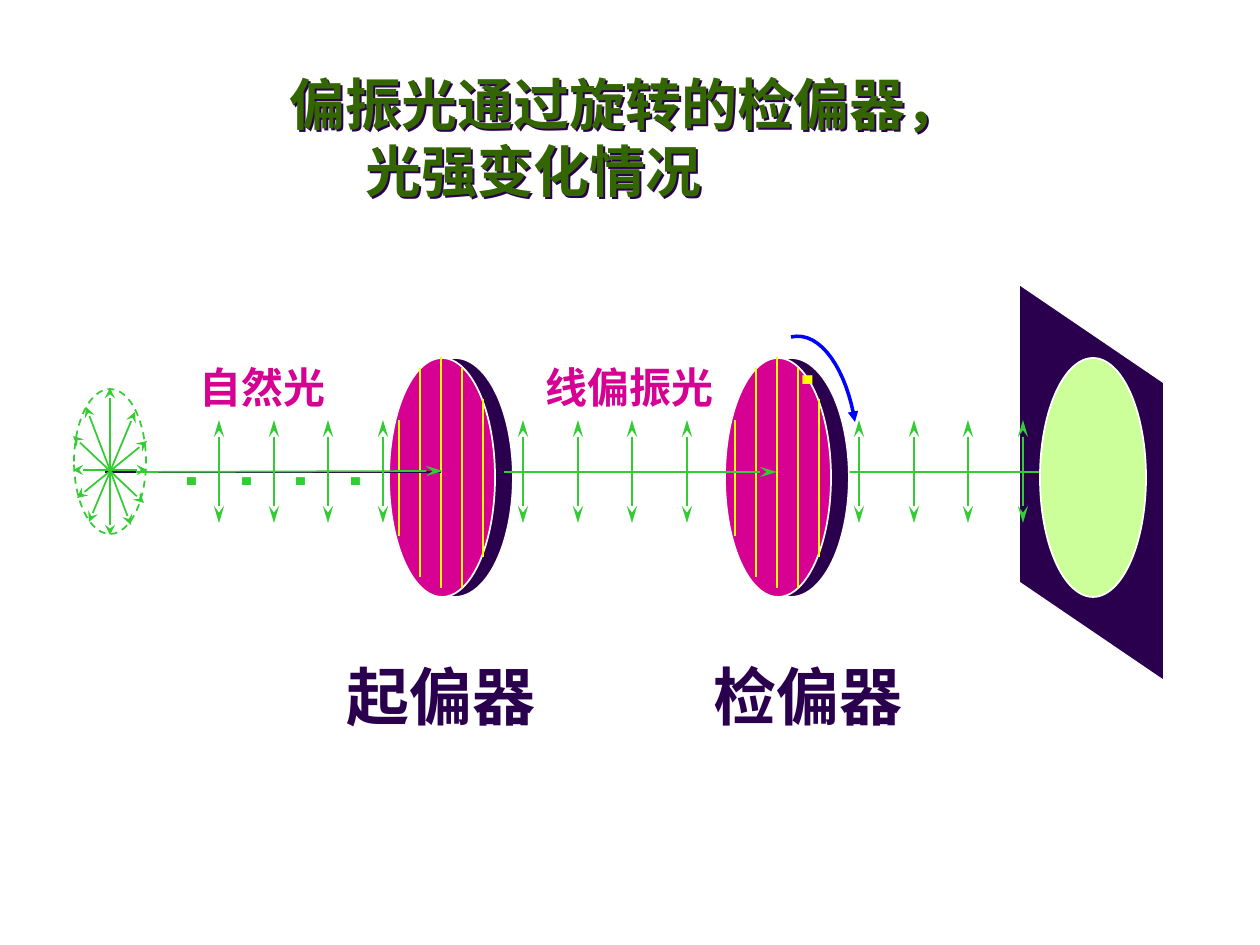
from dataclasses import dataclass

from lxml import etree
from pptx import Presentation
from pptx.dml.color import RGBColor
from pptx.enum.dml import MSO_LINE
from pptx.enum.shapes import MSO_CONNECTOR, MSO_SHAPE
from pptx.enum.text import MSO_ANCHOR, MSO_AUTO_SIZE, PP_ALIGN
from pptx.oxml.ns import qn
from pptx.util import Pt

STRAIGHT = MSO_CONNECTOR.STRAIGHT
OVAL, PARALLELOGRAM = MSO_SHAPE.OVAL, MSO_SHAPE.PARALLELOGRAM
DASH, TOP, LEFT = MSO_LINE.DASH, MSO_ANCHOR.TOP, PP_ALIGN.LEFT
FIT_SHAPE, NO_FIT = MSO_AUTO_SIZE.SHAPE_TO_FIT_TEXT, MSO_AUTO_SIZE.NONE
TITLE_ONLY = 5
PX_PER_INCH = 126
SCALE = 914400 / PX_PER_INCH
AXIS_Y = 472
DISC_STEP = 336
BOTH_ENDS = ("headEnd", "tailEnd")


@dataclass(frozen=True)
class Theme:
    dark: str = "2A004E"
    magenta: str = "D60093"
    light: str = "33CC33"
    groove: str = "FFFF00"
    spot: str = "CCFF99"
    title: str = "336600"
    turn: str = "0000FF"
    edge: str = "FFFFFF"
    latin: str = "Roboto Slab"
    cjk: str = "Noto Sans CJK SC"
    title_size: int = 32
    name_size: int = 36
    beam_size: int = 24
    dot_size: int = 36
    mark_size: int = 40


THEME = Theme()


def px(n):
    return round(n * SCALE)


def rgb(color):
    return RGBColor.from_string(color)


def add_arrowheads(sp, ends, kind="stealth", length="lg"):
    ln = sp.line._get_or_add_ln()
    for end in ends:
        etree.SubElement(ln, qn(f"a:{end}"), type=kind, len=length)


def add_line(shapes, x1, y1, x2, y2, color=THEME.light, width=1, ends=(),
             length="lg"):
    sp = shapes.add_connector(STRAIGHT, px(x1), px(y1), px(x2), px(y2))
    sp.line.color.rgb = rgb(color)
    sp.line.width = Pt(width)
    etree.SubElement(sp._element.spPr, qn("a:effectLst"))
    add_arrowheads(sp, ends, length=length)


def add_figure(shapes, kind, x, y, w, h, fill=None, line=THEME.edge):
    sp = shapes.add_shape(kind, px(x), px(y), px(w), px(h))
    sp.shadow.inherit = False
    if fill:
        sp.fill.solid()
        sp.fill.fore_color.rgb = rgb(fill)
    else:
        sp.fill.background()
    sp.line.color.rgb = rgb(line)
    sp.line.width = Pt(1)
    return sp


def format_run(r, size, color, font):
    r.font.size = Pt(size)
    r.font.bold = True
    r.font.name = font
    r.font.color.rgb = rgb(color)
    etree.SubElement(r._r.get_or_add_rPr(), qn("a:ea"), typeface=THEME.cjk)


def add_label(shapes, text, x, y, w, h, size, color, font=THEME.cjk):
    tf = shapes.add_textbox(px(x), px(y), px(w), px(h)).text_frame
    tf.text = text
    tf.word_wrap = False
    tf.auto_size = FIT_SHAPE
    format_run(tf.paragraphs[0].runs[0], size, color, font)


def add_text_shadow(sp):
    sp.fill.background()
    effects = etree.SubElement(sp._element.spPr, qn("a:effectLst"))
    shadow = etree.SubElement(effects, qn("a:outerShdw"),
                              dist="20500", dir="2700000")
    etree.SubElement(shadow, qn("a:srgbClr"), val=THEME.dark)


def set_title(sp):
    sp.left, sp.top, sp.width, sp.height = map(px, (277, 63, 698, 147))
    tf = sp.text_frame
    tf.text = "偏振光通过旋转的检偏器，\n光强变化情况"
    tf.word_wrap = False
    tf.auto_size = NO_FIT
    tf.vertical_anchor = TOP
    for p, indent in zip(tf.paragraphs, (0, 76)):
        p.alignment = LEFT
        p._p.get_or_add_pPr().set("marL", str(px(indent)))
        format_run(p.runs[0], THEME.title_size, THEME.title, THEME.latin)
    add_text_shadow(sp)


def add_polarizer(shapes, x):
    add_figure(shapes, OVAL, x + 8, 358, 116, 239, THEME.dark)
    add_figure(shapes, OVAL, x, 358, 106, 239, THEME.magenta)
    spans = ((420, 536), (368, 577), (357, 588), (368, 588), (399, 557))
    for i, (top, bottom) in enumerate(spans):
        groove_x = x + 10 + 21 * i
        add_line(shapes, groove_x, top, groove_x, bottom, THEME.groove, 1.5)


def add_vibrations(shapes, left, dots=False):
    for i in range(4):
        x = round(left + 54.67 * i)
        add_line(shapes, x, 420, x, 523, ends=BOTH_ENDS)
        if dots:
            add_label(shapes, ".", x - 48, 416, 47, 88,
                      THEME.dot_size, THEME.light, THEME.latin)


def add_light_source(shapes):
    group = shapes.add_group_shape().shapes
    rim = add_figure(group, OVAL, 74, 389, 72, 145, line=THEME.light)
    rim.line.dash_style = DASH
    for ray in ((110, 388, 110, 535), (135, 412, 89, 522),
                (73, 436, 144, 503), (73, 470, 147, 470),
                (86, 407, 131, 525), (77, 498, 147, 441)):
        add_line(group, *ray, ends=BOTH_ENDS, length="med")


def cubic_points(a, b, c, d, steps=16):
    for i in range(1, steps + 1):
        t = i / steps
        u = 1 - t
        yield tuple(px(u**3 * m + 3 * u * u * t * n + 3 * u * t * t * o
                       + t**3 * q) for m, n, o, q in zip(a, b, c, d))


def add_turn_arrow(shapes):
    start, peak, end = (791, 338), (841, 355), (868, 451)
    start, peak, end = (791, 337), (841, 355), (855, 422)
    curve = cubic_points(start, (821, 330), (847, 371), end)
    builder = shapes.build_freeform(*map(px, start))
    builder.add_line_segments(curve, close=False)
    sp = builder.convert_to_shape()
    sp.shadow.inherit = False
    sp.fill.background()
    sp.line.color.rgb = rgb(THEME.turn)
    sp.line.width = Pt(2)
    add_arrowheads(sp, ("tailEnd",), kind="triangle", length="med")


def main():
    prs = Presentation()
    prs.slide_width, prs.slide_height = px(1260), px(945)
    s = prs.slides.add_slide(prs.slide_layouts[TITLE_ONLY])
    shapes = s.shapes
    set_title(shapes.title)

    # Screen and the beam that reaches it
    screen = add_figure(shapes, PARALLELOGRAM, 893, 410, 397, 145, THEME.dark)
    screen.adjustments[0] = 0.68
    screen.rotation = 90
    add_line(shapes, 840, AXIS_Y, 1092, AXIS_Y, ends=("tailEnd",))

    # Polarizer and analyzer
    for x in (389, 389 + DISC_STEP):
        add_polarizer(shapes, x)
    add_label(shapes, ".", 786, 308, 49, 97,
              THEME.mark_size, THEME.groove, THEME.latin)
    add_turn_arrow(shapes)

    # Light source and beams
    add_line(shapes, 105, AXIS_Y, 441, AXIS_Y, THEME.dark)
    add_light_source(shapes)
    add_vibrations(shapes, 219, dots=True)
    for x in (523, 523 + DISC_STEP):
        add_vibrations(shapes, x)
    add_line(shapes, 136, AXIS_Y, 443, AXIS_Y - 1, ends=("tailEnd",))
    add_line(shapes, 504, AXIS_Y, 777, AXIS_Y, ends=("tailEnd",))

    # Light spot on the screen
    add_figure(shapes, OVAL, 1040, 358, 106, 239, THEME.spot)

    # Labels
    for text, x in (("起偏器", 334), ("检偏器", 701)):
        add_label(shapes, text, x, 651, 214, 88, THEME.name_size, THEME.dark)
    for text, x, w in (("自然光", 187, 151), ("线偏振光", 533, 194)):
        add_label(shapes, text, x, 355, w, 63, THEME.beam_size, THEME.magenta)

    prs.save("out.pptx")


if __name__ == "__main__":
    main()
